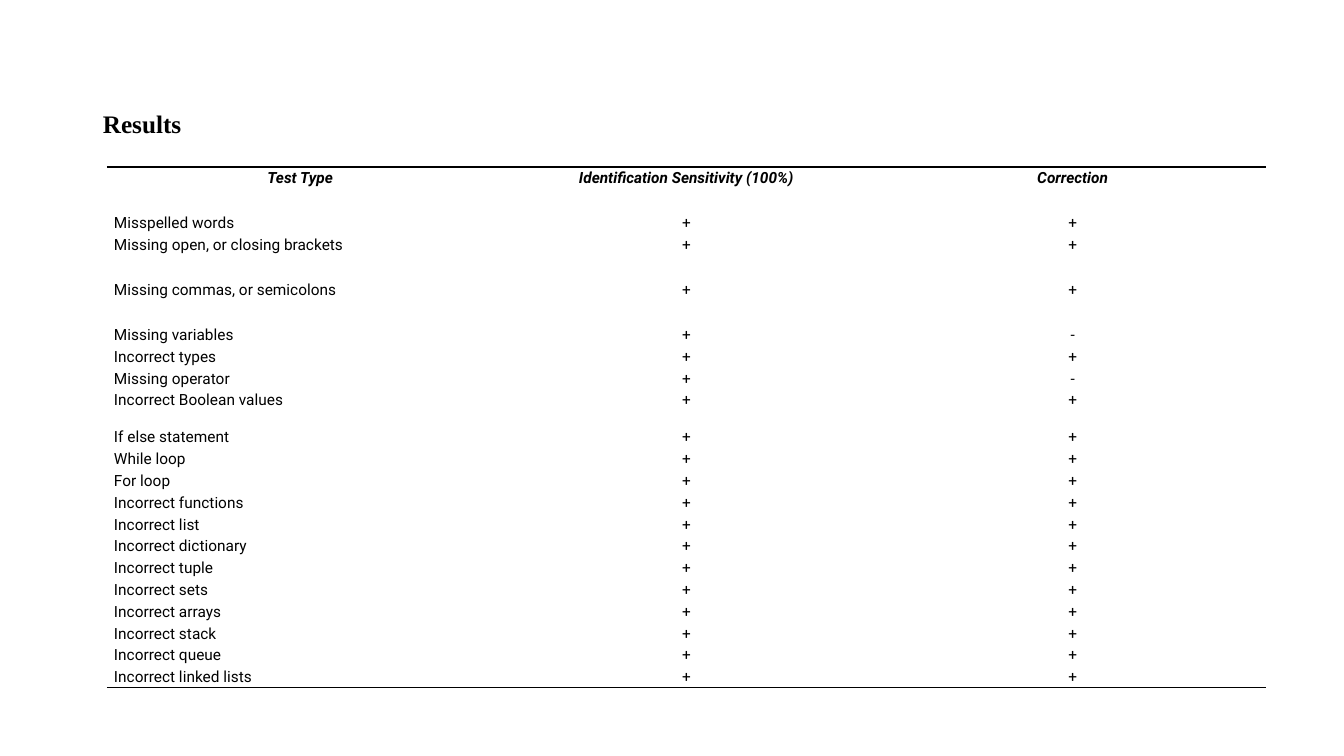
"""Build the Results slide: a heading above a table of test types."""
from lxml import etree
from pptx import Presentation, util as u
from pptx.dml.color import RGBColor
from pptx.enum import text
from pptx.oxml import ns

HEADING = "Results"
HEADER = ("Test Type", "Identification Sensitivity (100%)", "Correction")
TESTS = [
    ("Misspelled words", "+", "+"),
    ("Missing open, or closing brackets", "+", "+"),
    ("Missing commas, or semicolons", "+", "+"),
    ("Missing variables", "+", "-"),
    ("Incorrect types", "+", "+"),
    ("Missing operator", "+", "-"),
    ("Incorrect Boolean values", "+", "+"),
    ("If else statement", "+", "+"),
    ("While loop", "+", "+"),
    ("For loop", "+", "+"),
    ("Incorrect functions", "+", "+"),
    ("Incorrect list", "+", "+"),
    ("Incorrect dictionary", "+", "+"),
    ("Incorrect tuple", "+", "+"),
    ("Incorrect sets", "+", "+"),
    ("Incorrect arrays", "+", "+"),
    ("Incorrect stack", "+", "+"),
    ("Incorrect queue", "+", "+"),
    ("Incorrect linked lists", "+", "+"),
]
ROWS = [HEADER, *TESTS]
TALL_ROWS = {0: 45, 2: 45, 3: 45, 7: 37}
FIRST_JUSTIFIED = 8

BLACK = RGBColor(0, 0, 0)
PX = 914400 / 100.8
SLIDE = (1344, 756)
TITLE_BOX = (93, 40, 1159, 146)
TABLE_BOX = (107, 167, 1159, 521)
PLAIN_STYLE = "{2D5ABB26-0587-4C30-8999-92F81FD0307C}"
TITLE_FONT = dict(name="Times New Roman", size=u.Pt(18), bold=True)
HEADER_FONT = dict(name="Roboto", size=u.Pt(11), bold=True, italic=True)
BODY_FONT = dict(name="Roboto", size=u.Pt(11), bold=False, italic=False)


def px(n):
    return u.Emu(round(n * PX))


def assign(obj, values):
    for name, value in values.items():
        setattr(obj, name, value)


def write(tf, content, font, align, spacing):
    p = tf.paragraphs[0]
    assign(p, dict(alignment=align, line_spacing=spacing))
    r = p.add_run()
    r.text = content
    assign(r.font, font)
    r.font.color.rgb = BLACK


def add_border(cell, side):
    ln = etree.Element(ns.qn(f"a:{side}"), w=str(u.Pt(1)))
    fill = etree.SubElement(ln, ns.qn("a:solidFill"))
    etree.SubElement(fill, ns.qn("a:srgbClr"), val=str(BLACK))
    cell._tc.get_or_add_tcPr().insert(0, ln)


def add_heading(s):
    tf = s.shapes.add_textbox(*map(px, TITLE_BOX)).text_frame
    assign(tf, dict(word_wrap=True, vertical_anchor=text.MSO_ANCHOR.MIDDLE,
                    margin_top=px(30), margin_bottom=px(5)))
    write(tf, HEADING, TITLE_FONT, text.PP_ALIGN.LEFT, 0.9)


def cell_align(row, col):
    if row == 0 or col > 0:
        return text.PP_ALIGN.CENTER
    return text.PP_ALIGN.JUSTIFY if row >= FIRST_JUSTIFIED else text.PP_ALIGN.LEFT


def add_results(s):
    width, height = TABLE_BOX[2:]
    table = s.shapes.add_table(len(ROWS), len(HEADER), *map(px, TABLE_BOX)).table
    assign(table, dict(first_row=False, horz_banding=False))
    table._tbl.tblPr.find(ns.qn("a:tableStyleId")).text = PLAIN_STYLE
    for column in table.columns:
        column.width = px(width / len(HEADER))
    short = (height - sum(TALL_ROWS.values())) / (len(ROWS) - len(TALL_ROWS))
    margins = dict(margin_left=px(7), margin_right=px(7), margin_top=0, margin_bottom=0)
    for i, values in enumerate(ROWS):
        table.rows[i].height = px(TALL_ROWS.get(i, short))
        for j, value in enumerate(values):
            cell = table.cell(i, j)
            assign(cell, margins)
            cell.fill.background()
            write(cell.text_frame, value, BODY_FONT if i else HEADER_FONT,
                  cell_align(i, j), 1.15)
            if i == 0:
                add_border(cell, "lnT")
            elif i == len(ROWS) - 1:
                add_border(cell, "lnB")


def main():
    prs = Presentation()
    prs.slide_width, prs.slide_height = map(px, SLIDE)
    s = prs.slides.add_slide(prs.slide_layouts[6])
    add_heading(s)
    add_results(s)
    prs.save("out.pptx")


if __name__ == "__main__":
    main()
